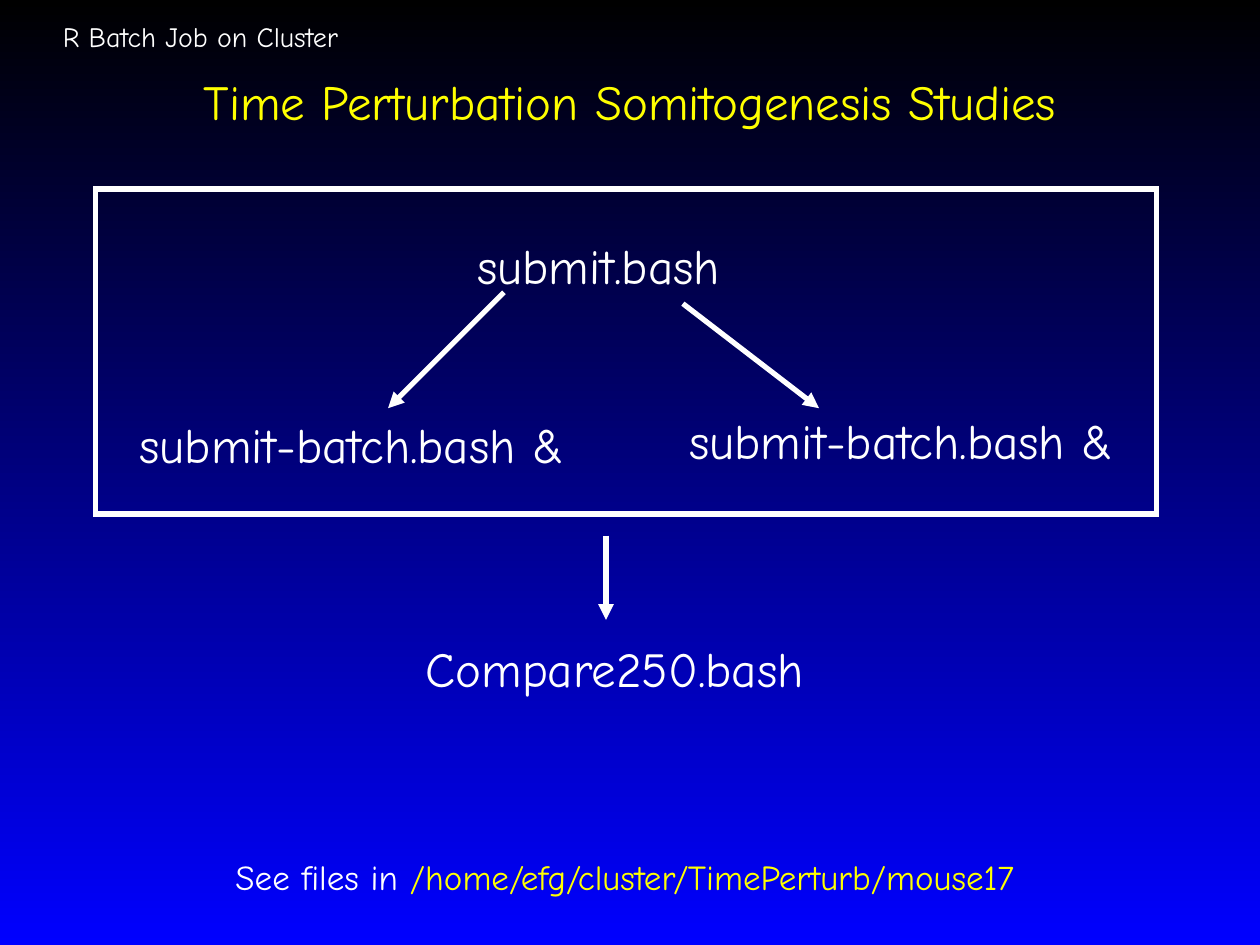
from dataclasses import dataclass

from lxml import etree
from pptx import Presentation
from pptx import util as u
from pptx.dml.color import RGBColor
from pptx.enum import shapes, text
from pptx.oxml.ns import qn


@dataclass(frozen=True)
class Theme:
    """Colours, font and sizes of the slide."""

    font: str = "Comic Neue"
    white: str = "FFFFFF"
    yellow: str = "FFFF00"
    top: str = "000000"
    bottom: str = "0000FF"
    heading: int = 28
    note: int = 20
    label: int = 16
    stroke: int = 3


class SlideBuilder:
    """Draws styled elements on the current slide."""

    def __init__(self, page, theme):
        self.page = page
        self.theme = theme

    def background(self):
        """Fill the page with a gradient running downwards."""
        fill = self.page.background.fill
        fill.gradient()
        fill.gradient_angle = 270
        colours = (self.theme.top, self.theme.bottom)
        for position, (stop, colour) in enumerate(zip(fill.gradient_stops, colours)):
            stop.position = position
            stop.color.rgb = RGBColor.from_string(colour)

    def style(self, span, size, colour):
        """Apply font, size and colour to a run."""
        span.font.name = self.theme.font
        span.font.size = u.Pt(size)
        span.font.color.rgb = RGBColor.from_string(colour)

    def title(self, words, left, top, width, height):
        """Place and format the title placeholder."""
        box = self.page.shapes.title
        box.left, box.top = u.Inches(left), u.Inches(top)
        box.width, box.height = u.Inches(width), u.Inches(height)
        box.text_frame.text = words
        box.text_frame.vertical_anchor = text.MSO_ANCHOR.MIDDLE
        para = box.text_frame.paragraphs[0]
        para.alignment = text.PP_ALIGN.CENTER
        self.style(para.runs[0], self.theme.heading, self.theme.yellow)

    def text(self, words, left, top, width, height, size, wrap=False):
        """Add a white line of text and return its paragraph."""
        box = self.page.shapes.add_textbox(
            u.Inches(left), u.Inches(top), u.Inches(width), u.Inches(height))
        frame = box.text_frame
        frame.text = words
        frame.word_wrap = wrap
        frame.auto_size = text.MSO_AUTO_SIZE.SHAPE_TO_FIT_TEXT
        para = frame.paragraphs[0]
        self.style(para.runs[0], size, self.theme.white)
        return para

    def script(self, name, left, top, width):
        """Add the name of one script in the job flow."""
        self.text(name, left, top, width, 0.57, self.theme.heading)

    def file_note(self, lead, location, left, top, width, height):
        """Add a centred note with a highlighted location."""
        para = self.text(lead, left, top, width, height, self.theme.note, wrap=True)
        para.alignment = text.PP_ALIGN.CENTER
        span = para.add_run()
        span.text = location
        self.style(span, self.theme.note, self.theme.yellow)

    def outline(self, shape, tag, **settings):
        """Give a shape the common stroke and one extra line setting."""
        shape.line.color.rgb = RGBColor.from_string(self.theme.white)
        shape.line.width = u.Pt(self.theme.stroke)
        stroke = shape._element.spPr.find(qn("a:ln"))
        etree.SubElement(stroke, qn(tag), **settings)

    def frame(self, left, top, width, height):
        """Add an unfilled rectangle with sharp corners."""
        box = self.page.shapes.add_shape(
            shapes.MSO_SHAPE.RECTANGLE,
            u.Inches(left), u.Inches(top), u.Inches(width), u.Inches(height))
        box.shadow.inherit = False
        box.fill.background()
        self.outline(box, "a:miter", lim="800000")

    def arrow(self, start, end):
        """Add a straight arrow between two points."""
        points = [u.Inches(value) for value in (*start, *end)]
        arrow = self.page.shapes.add_connector(shapes.MSO_CONNECTOR.STRAIGHT, *points)
        self.outline(arrow, "a:tailEnd", type="triangle")
        etree.SubElement(arrow._element.spPr, qn("a:effectLst"))


def main():
    """Build and save the batch job slide."""
    deck = Presentation()
    deck.slide_width, deck.slide_height = u.Inches(10), u.Inches(7.5)
    theme = Theme()
    builder = SlideBuilder(deck.slides.add_slide(deck.slide_layouts[5]), theme)

    builder.background()
    builder.title("Time Perturbation Somitogenesis Studies", 0.75, 0.18, 8.5, 1.25)
    builder.text("R Batch Job on Cluster", 0.4, 0.11, 3.18, 0.37, theme.label, wrap=True)

    builder.frame(0.76, 1.5, 8.42, 2.58)
    builder.script("submit.bash", 3.69, 1.82, 2.15)
    for left, top in ((1.01, 3.24), (5.37, 3.21)):
        builder.script("submit-batch.bash &", left, top, 3.58)
    builder.script("Compare250.bash", 3.28, 5.02, 3.22)

    for start, end in (
        ((4, 2.32), (3.08, 3.24)),
        ((5.42, 2.41), (6.5, 3.24)),
        ((4.81, 4.25), (4.81, 4.92)),
    ):
        builder.arrow(start, end)

    builder.file_note(
        "See files in ", "/home/efg/cluster/TimePerturb/mouse17", 0.75, 6.74, 8.42, 0.44)
    deck.save("out.pptx")


if __name__ == "__main__":
    main()
